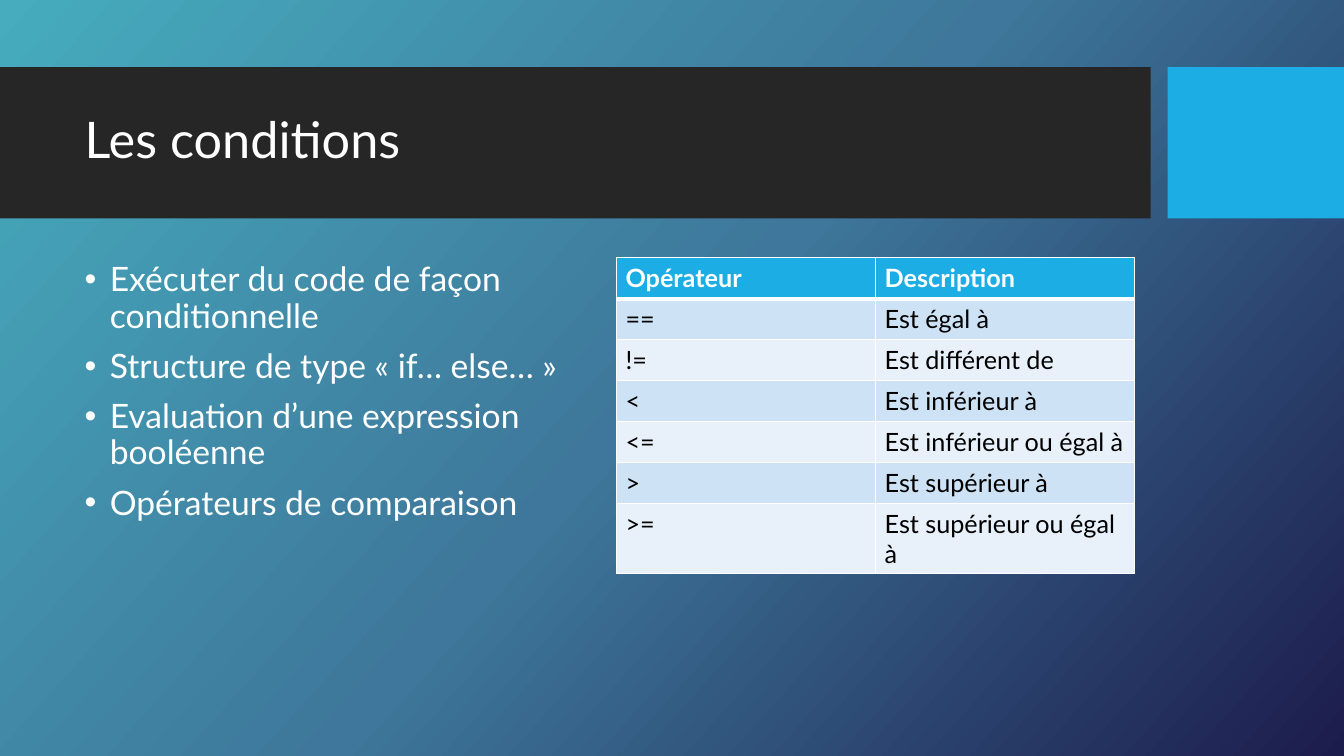
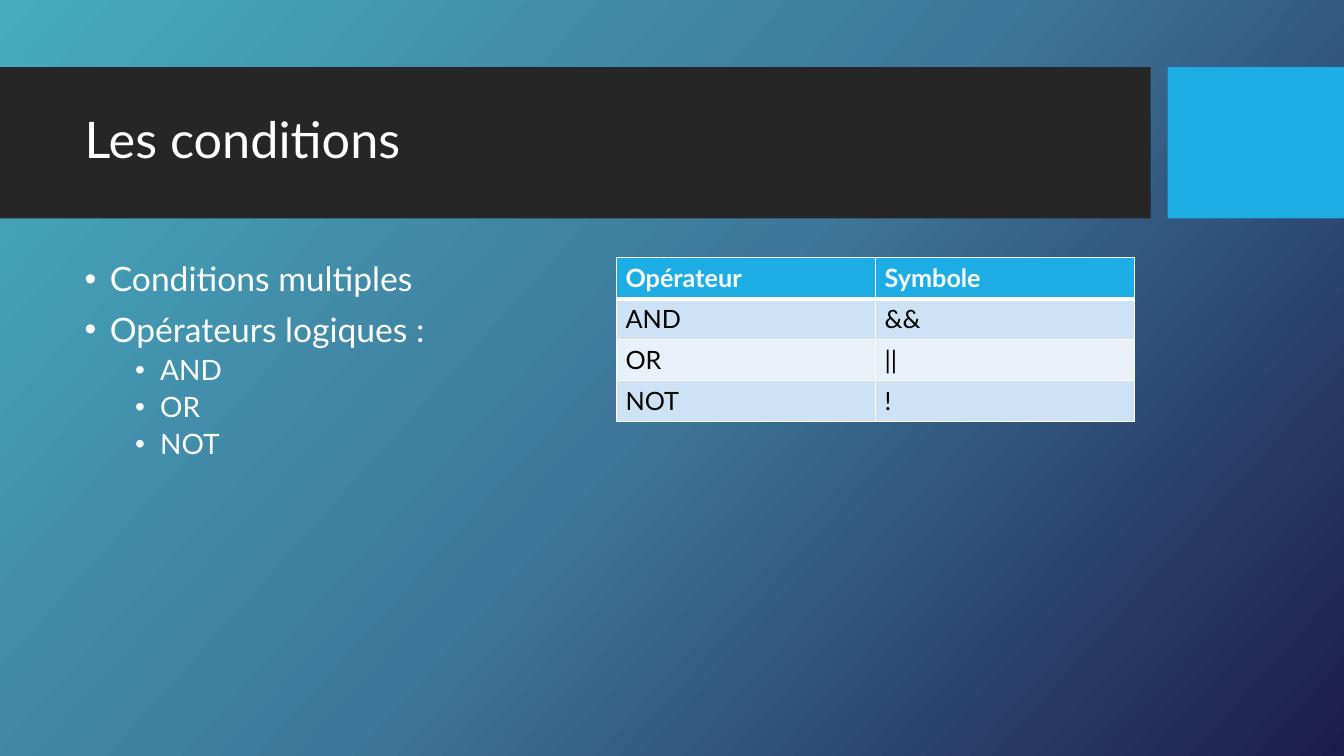
from dataclasses import dataclass

from lxml.etree import SubElement
from pptx import Presentation
from pptx.dml.color import RGBColor
from pptx.enum.shapes import MSO_SHAPE
from pptx.enum.text import MSO_ANCHOR
from pptx.oxml.ns import qn
from pptx.util import Inches, Pt

GRID_UNIT = Pt(6)
COLUMNS, ROWS = 160, 90


def units(count):
    return round(count * GRID_UNIT)


@dataclass(frozen=True)
class Theme:
    font: str = "Lato"
    gradient: tuple = ((0, "46ACBE"), (50, "3E779B"), (100, "1C1C4C"))
    gradient_angle: int = 42
    band: str = "262626"
    accent: str = "1CADE4"
    light: str = "FFFFFF"
    dark: str = "000000"
    stripes: tuple = ("CDE3F5", "E8F1FA")
    title_size: int = 36
    bullet_sizes: tuple = (24, 20)
    bullet_gaps: tuple = (10, 5)
    bullet_indents: tuple = (3, 9)
    hanging: int = 3
    table_size: int = 18
    line_spacing: float = 0.9
    border: int = 1
    header_border: int = 3


@dataclass(frozen=True)
class Box:
    left: float
    top: float
    width: float
    height: float

    def place(self):
        return tuple(units(n) for n in (self.left, self.top, self.width, self.height))


THEME = Theme()
BAND = Box(0, 8, 137, 18)
ACCENT = Box(139, 8, 21, 18)
TITLE = Box(8.9, 9.8, 126.1, 14.2)
BODY = Box(8.9, 30.7, 61.7, 47.3)
TABLE = Box(73.4, 30.7, 61.7, 47.3)
TABLE_ROW = 4.87

SLIDES = [
    (
        "Les conditions",
        [
            (0, "Exécuter du code de façon conditionnelle"),
            (0, "Structure de type « if… else… »"),
            (0, "Evaluation d’une expression booléenne"),
            (0, "Opérateurs de comparaison"),
        ],
        [
            ("Opérateur", "Description"),
            ("==", "Est égal à"),
            ("!=", "Est différent de"),
            ("<", "Est inférieur à"),
            ("<=", "Est inférieur ou égal à"),
            (">", "Est supérieur à"),
            (">=", "Est supérieur ou égal à"),
        ],
    ),
    (
        "Les conditions",
        [
            (0, "Conditions multiples"),
            (0, "Opérateurs logiques :"),
            (1, "AND"),
            (1, "OR"),
            (1, "NOT"),
        ],
        [("Opérateur", "Symbole"), ("AND", "&&"), ("OR", "||"), ("NOT", "!")],
    ),
]


def fill_solid(target, color):
    target.fill.solid()
    target.fill.fore_color.rgb = RGBColor.from_string(color)


def add_run(paragraph, text, size, color, bold=False):
    run = paragraph.add_run()
    run.text = text
    run.font.name = THEME.font
    run.font.size = Pt(size)
    run.font.bold = bold
    run.font.color.rgb = RGBColor.from_string(color)


def add_color(parent, color):
    SubElement(parent, qn("a:srgbClr"), val=color)


def paint_background(slide):
    fill = slide.background.fill
    fill.gradient()
    fill.gradient_angle = 360 - THEME.gradient_angle
    stops = slide.background._cSld.find(".//" + qn("a:gsLst"))
    for stop in list(stops):
        stops.remove(stop)
    for position, color in THEME.gradient:
        stop = SubElement(stops, qn("a:gs"), pos=str(position * 1000))
        add_color(stop, color)


def add_block(slide, box, color):
    shape = slide.shapes.add_shape(MSO_SHAPE.RECTANGLE, *box.place())
    shape.shadow.inherit = False
    shape.line.fill.background()
    fill_solid(shape, color)


def add_text_frame(slide, box):
    frame = slide.shapes.add_textbox(*box.place()).text_frame
    frame.word_wrap = True
    return frame


def add_title(slide, box, text):
    frame = add_text_frame(slide, box)
    frame.vertical_anchor = MSO_ANCHOR.MIDDLE
    paragraph = frame.paragraphs[0]
    paragraph.line_spacing = THEME.line_spacing
    add_run(paragraph, text, THEME.title_size, THEME.light)


def set_bullet(paragraph, level):
    properties = paragraph._p.get_or_add_pPr()
    properties.set("marL", str(units(THEME.bullet_indents[level])))
    properties.set("indent", str(units(-THEME.hanging)))
    SubElement(properties, qn("a:buFont"), typeface="Arial")
    SubElement(properties, qn("a:buChar"), char="•")


def add_bullets(slide, box, bullets):
    frame = add_text_frame(slide, box)
    for index, (level, text) in enumerate(bullets):
        paragraph = frame.add_paragraph() if index else frame.paragraphs[0]
        paragraph.level = level
        paragraph.line_spacing = THEME.line_spacing
        paragraph.space_before = Pt(THEME.bullet_gaps[level])
        set_bullet(paragraph, level)
        add_run(paragraph, text, THEME.bullet_sizes[level], THEME.light)


def set_borders(cell, top, bottom):
    properties = cell._tc.get_or_add_tcPr()
    widths = {"L": THEME.border, "R": THEME.border, "T": top, "B": bottom}
    for side, width in widths.items():
        line = SubElement(properties, qn(f"a:ln{side}"), w=str(Pt(width)))
        add_color(SubElement(line, qn("a:solidFill")), THEME.light)


def style_cell(cell, text, row):
    header = row == 0
    top = THEME.header_border if row == 1 else THEME.border
    bottom = THEME.header_border if header else THEME.border
    set_borders(cell, top, bottom)
    fill_solid(cell, THEME.accent if header else THEME.stripes[(row - 1) % 2])
    cell.margin_left = cell.margin_right = Inches(0.09)
    cell.margin_top = cell.margin_bottom = Inches(0.05)
    color = THEME.light if header else THEME.dark
    add_run(cell.text_frame.paragraphs[0], text, THEME.table_size, color, header)


def add_operator_table(slide, box, rows):
    area = Box(box.left, box.top, box.width, TABLE_ROW * len(rows))
    table = slide.shapes.add_table(len(rows), len(rows[0]), *area.place()).table
    table.horz_banding = False
    for row, texts in enumerate(rows):
        table.rows[row].height = units(TABLE_ROW)
        for column, text in enumerate(texts):
            style_cell(table.cell(row, column), text, row)


def add_content_slide(presentation, title, bullets, rows):
    slide = presentation.slides.add_slide(presentation.slide_layouts[6])
    paint_background(slide)
    add_block(slide, BAND, THEME.band)
    add_block(slide, ACCENT, THEME.accent)
    add_title(slide, TITLE, title)
    add_bullets(slide, BODY, bullets)
    add_operator_table(slide, TABLE, rows)


def main():
    presentation = Presentation()
    presentation.slide_width = units(COLUMNS)
    presentation.slide_height = units(ROWS)
    for title, bullets, rows in SLIDES:
        add_content_slide(presentation, title, bullets, rows)
    presentation.save("out.pptx")


if __name__ == "__main__":
    main()
